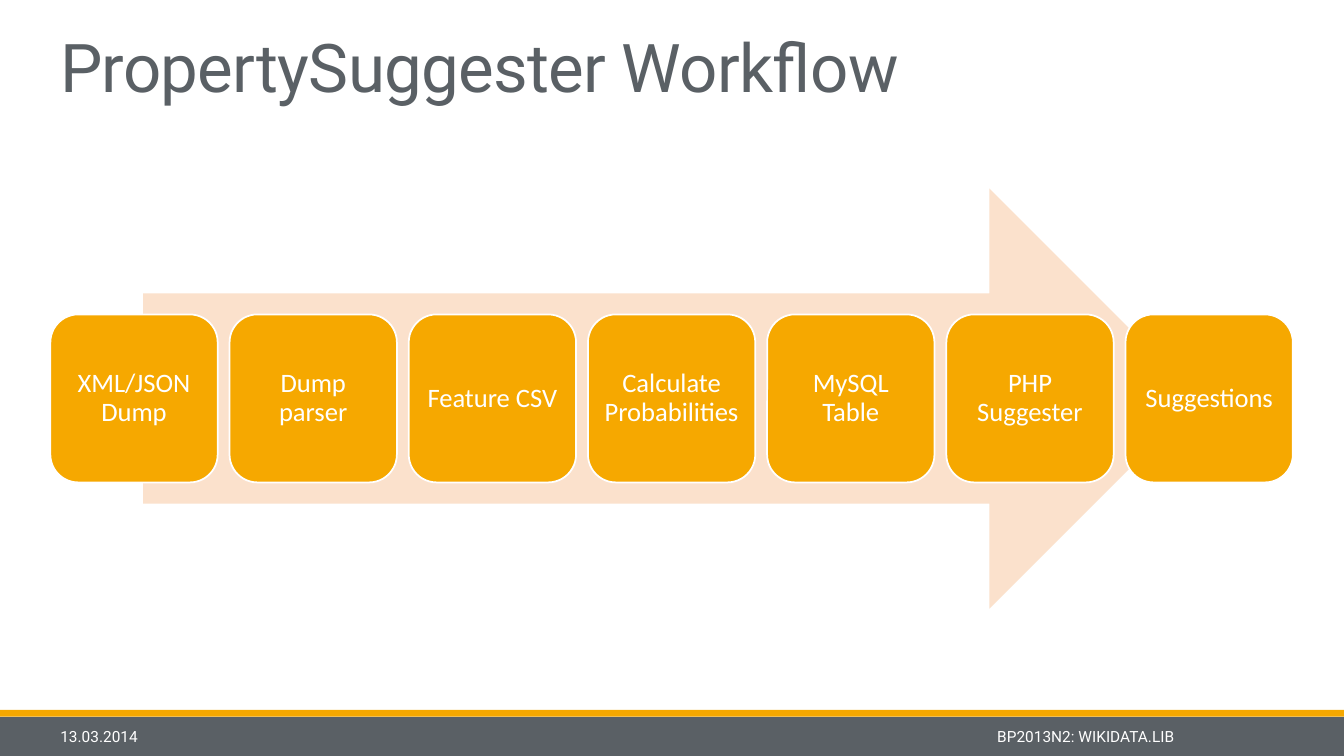
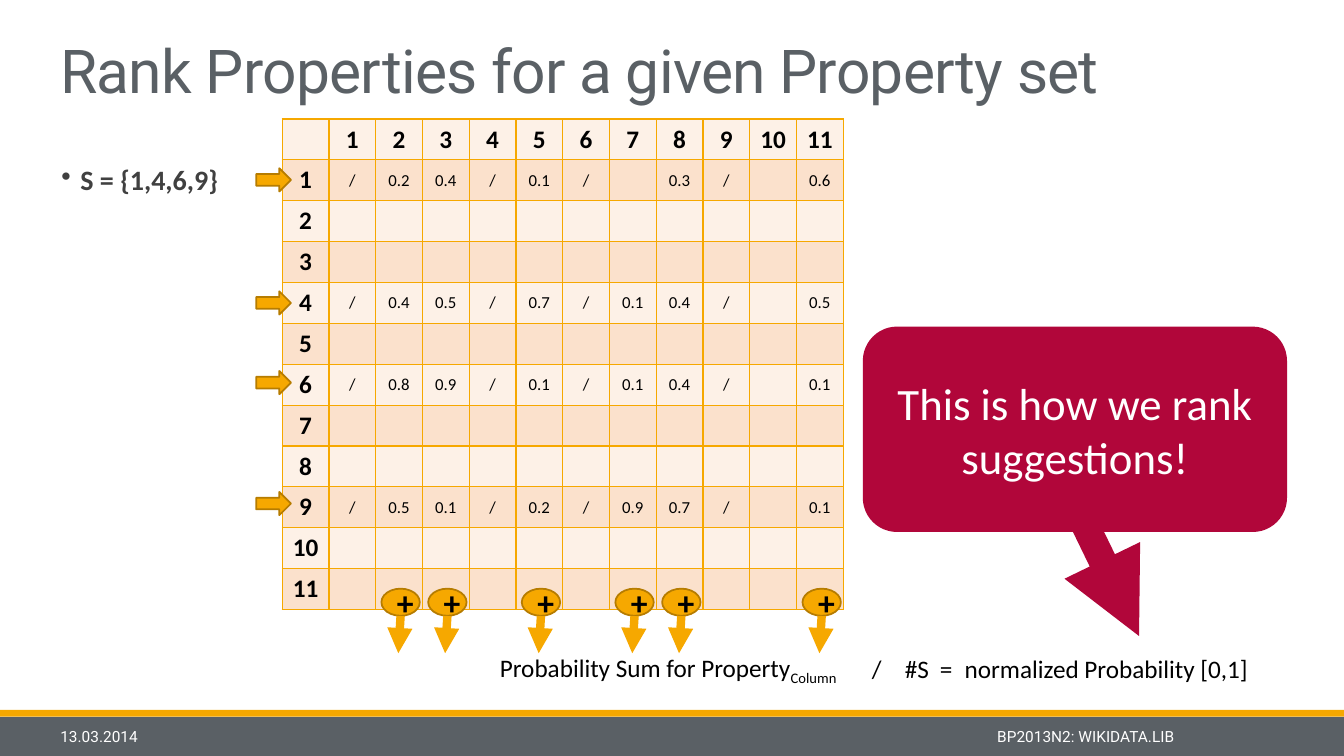
import lxml.etree
import pptx
import pptx.dml.color
import pptx.enum.shapes
import pptx.enum.text
import pptx.oxml.ns
import pptx.util

Pt = pptx.util.Pt
RGBColor = pptx.dml.color.RGBColor
Shape = pptx.enum.shapes.MSO_SHAPE
Align = pptx.enum.text.PP_ALIGN
Anchor = pptx.enum.text.MSO_ANCHOR
qn = pptx.oxml.ns.qn

ORANGE = RGBColor(0xF6, 0xA8, 0x00)
DARK_ORANGE = RGBColor(0xB6, 0x7C, 0x00)
PEACH = RGBColor(0xFB, 0xE1, 0xCC)
PALE_PEACH = RGBColor(0xFD, 0xF1, 0xE7)
SLATE = RGBColor(0x5A, 0x60, 0x65)
CHARCOAL = RGBColor(0x40, 0x40, 0x40)
CRIMSON = RGBColor(0xB1, 0x06, 0x3A)
BLACK = RGBColor(0, 0, 0)
WHITE = RGBColor(0xFF, 0xFF, 0xFF)

STEPS = ["XML/JSON Dump", "Dump parser", "Feature CSV", "Calculate Probabilities",
         "MySQL Table", "PHP Suggester", "Suggestions"]
PROPERTY_COUNT = 11
PROBABILITIES = {
    1: ["/", "0.2", "0.4", "/", "0.1", "/", "", "0.3", "/", "", "0.6"],
    4: ["/", "0.4", "0.5", "/", "0.7", "/", "0.1", "0.4", "/", "", "0.5"],
    6: ["/", "0.8", "0.9", "/", "0.1", "/", "0.1", "0.4", "/", "", "0.1"],
    9: ["/", "0.5", "0.1", "/", "0.2", "/", "0.9", "0.7", "/", "", "0.1"],
}
SUMMED_COLUMNS = [2, 3, 5, 7, 8, 11]
ROW_MARKER_TOPS = [120.2, 208.1, 265, 351.4]
MATRIX_LEFT, MATRIX_TOP = 201.6, 85
COLUMN_WIDTH, ROW_HEIGHT = 33.42, 29.2


def child(parent, tag, **attributes):
    """Append a drawing element with the given attributes."""
    element = lxml.etree.SubElement(parent, qn(tag))
    for name, value in attributes.items():
        element.set(name, str(value))
    return element


class Deck:
    """Hold the shared style and the current slide."""

    def __init__(self):
        """Start an empty wide presentation."""
        self.presentation = pptx.Presentation()
        self.presentation.slide_width = Pt(960)
        self.presentation.slide_height = Pt(540)
        self.shapes = None

    def slide(self, title, size):
        """Add a slide with bands, title and footer."""
        layout = self.presentation.slide_layouts[6]
        self.shapes = self.presentation.slides.add_slide(layout).shapes
        self.shape(Shape.RECTANGLE, 0, 512, 960, 28, SLATE)
        self.shape(Shape.RECTANGLE, 0, 507, 960, 5, ORANGE)
        heading = self.text(title, 36, 0, 795, 79.2, size, SLATE, "Roboto", Anchor.BOTTOM)
        heading.line_spacing = 0.85
        heading.runs[0]._r.get_or_add_rPr().set("spc", "-50")
        self.text("13.03.2014", 36, 512, 76, 28, 11, WHITE, "Roboto", Anchor.MIDDLE)
        project = self.text("BP2013N2: WIKIDATA.LIB", 114.5, 512, 731.5, 28, 11, WHITE,
                            "Roboto", Anchor.MIDDLE)
        project.alignment = Align.RIGHT

    def style(self, paragraph, size, color, name="Calibri", bold=False):
        """Set the font of a paragraph."""
        font = paragraph.font
        font.size, font.name, font.bold = Pt(size), name, bold
        font.color.rgb = color

    def text(self, words, left, top, width, height, size, color=BLACK,
             name="Calibri", anchor=Anchor.TOP, bold=False):
        """Add a text box and return its paragraph."""
        frame = self.shapes.add_textbox(Pt(left), Pt(top), Pt(width), Pt(height)).text_frame
        frame.word_wrap = True
        frame.vertical_anchor = anchor
        paragraph = frame.paragraphs[0]
        paragraph.text = words
        self.style(paragraph, size, color, name, bold)
        return paragraph

    def shape(self, kind, left, top, width, height, fill, outline=None):
        """Add a filled shape with an optional outline."""
        shape = self.shapes.add_shape(kind, Pt(left), Pt(top), Pt(width), Pt(height))
        shape.shadow.inherit = False
        shape.fill.solid()
        shape.fill.fore_color.rgb = fill
        if outline is None:
            shape.line.fill.background()
        else:
            shape.line.color.rgb = outline
            shape.line.width = Pt(1.25)
        return shape

    def label(self, shape, words, size, color=WHITE, bold=False):
        """Write centred text in a shape and return its paragraph."""
        frame = shape.text_frame
        frame.word_wrap = True
        frame.vertical_anchor = Anchor.MIDDLE
        paragraph = frame.paragraphs[0]
        paragraph.text = words
        paragraph.alignment = Align.CENTER
        self.style(paragraph, size, color, bold=bold)
        return paragraph

    def arrow(self, start, end, color, width):
        """Add a straight arrow."""
        ends = [Pt(value) for value in (*start, *end)]
        connector = self.shapes.add_connector(pptx.enum.shapes.MSO_CONNECTOR.STRAIGHT, *ends)
        connector.line.color.rgb = color
        connector.line.width = Pt(width)
        child(connector.line._get_or_add_ln(), "a:tailEnd", type="triangle")
        child(connector._element.spPr, "a:effectLst")

    def cell(self, cell, words, size, bold, fill):
        """Fill, border and write one table cell."""
        cell.fill.solid()
        cell.fill.fore_color.rgb = fill
        cell.margin_left = cell.margin_right = Pt(2)
        cell.vertical_anchor = Anchor.MIDDLE
        paragraph = cell.text_frame.paragraphs[0]
        paragraph.text = words
        paragraph.alignment = Align.CENTER
        self.style(paragraph, size, BLACK, bold=bold)
        properties = cell._tc.get_or_add_tcPr()
        for position, side in enumerate(("a:lnL", "a:lnR", "a:lnT", "a:lnB")):
            border = child(properties, side, w=int(Pt(1)))
            child(child(border, "a:solidFill"), "a:srgbClr", val=ORANGE)
            properties.insert(position, border)

    def matrix(self):
        """Add the table of property probabilities."""
        count = PROPERTY_COUNT + 1
        table = self.shapes.add_table(
            count, count, Pt(MATRIX_LEFT), Pt(MATRIX_TOP),
            Pt(COLUMN_WIDTH * count), Pt(ROW_HEIGHT * count)).table
        for column in table.columns:
            column.width = Pt(COLUMN_WIDTH)
        header = [str(number) for number in range(1, count)]
        for index, row in enumerate(table.rows):
            row.height = Pt(ROW_HEIGHT)
            values = PROBABILITIES.get(index, [""] * PROPERTY_COUNT) if index else header
            for column, words in enumerate([str(index or ""), *values]):
                heading = index == 0 or column == 0
                self.cell(table.cell(index, column), words, 18 if heading else 12,
                          heading, PEACH if index % 2 else PALE_PEACH)


def workflow(deck):
    """Build the workflow slide."""
    deck.slide("PropertySuggester Workflow", 48)
    deck.shape(Shape.RIGHT_ARROW, 102.2, 134.6, 754.6, 300.2, PEACH)
    for index, step in enumerate(STEPS):
        box = deck.shape(Shape.ROUNDED_RECTANGLE, 36 + 128 * index, 224.6, 119.5, 120,
                         ORANGE, WHITE)
        box.text_frame.margin_left = box.text_frame.margin_right = Pt(5)
        deck.label(box, step, 19).line_spacing = 0.9


def ranking(deck):
    """Build the ranking slide."""
    deck.slide("Rank Properties for a given Property set", 43.2)
    given = deck.text("S = {1,4,6,9}", 36.7, 115.2, 158.4, 33.8, 20, CHARCOAL, bold=True)
    given.line_spacing = 0.9
    properties = given._p.get_or_add_pPr()
    properties.set("marL", str(int(Pt(13.7))))
    properties.set("indent", str(int(Pt(-13.7))))
    bullet = child(properties, "a:buChar", char="•")
    properties.find(qn("a:defRPr")).addprevious(bullet)

    deck.matrix()
    for top in ROW_MARKER_TOPS:
        deck.shape(Shape.RIGHT_ARROW, 183, top, 24.8, 16.6, ORANGE, DARK_ORANGE)
    for column in SUMMED_COLUMNS:
        left = MATRIX_LEFT + COLUMN_WIDTH * column + 4
        center = left + 13.7
        plus = deck.shape(Shape.OVAL, left, 420.5, 27.4, 19.4, ORANGE, DARK_ORANGE)
        deck.label(plus, "+", 24, BLACK, bold=True)
        deck.arrow((center, 440), (center - 1.6, 466.6), ORANGE, 6)

    total = deck.text("Probability Sum for Property", 350, 462.2, 268, 29, 18)
    subscript = total.add_run()
    subscript.text = "Column"
    subscript._r.get_or_add_rPr().set("baseline", "-25000")
    formula = deck.text("/\t#S\t=\tnormalized Probability [0,1]", 615.6, 463, 300, 29, 18)
    stops = child(formula._p.get_or_add_pPr(), "a:tabLst")
    formula._p.pPr.find(qn("a:defRPr")).addprevious(stops)
    for position in (23.6, 48.6, 66.4):
        child(stops, "a:tab", pos=int(Pt(position)), algn="l")

    deck.arrow((767.5, 359.3), (813.6, 454.3), CRIMSON, 20)
    callout = deck.shape(Shape.ROUNDED_RECTANGLE, 616.3, 233.3, 303, 146.7, CRIMSON)
    deck.label(callout, "This is how we rank suggestions!", 32)


def main():
    """Build and save the presentation."""
    deck = Deck()
    workflow(deck)
    ranking(deck)
    deck.presentation.save("out.pptx")


if __name__ == "__main__":
    main()
